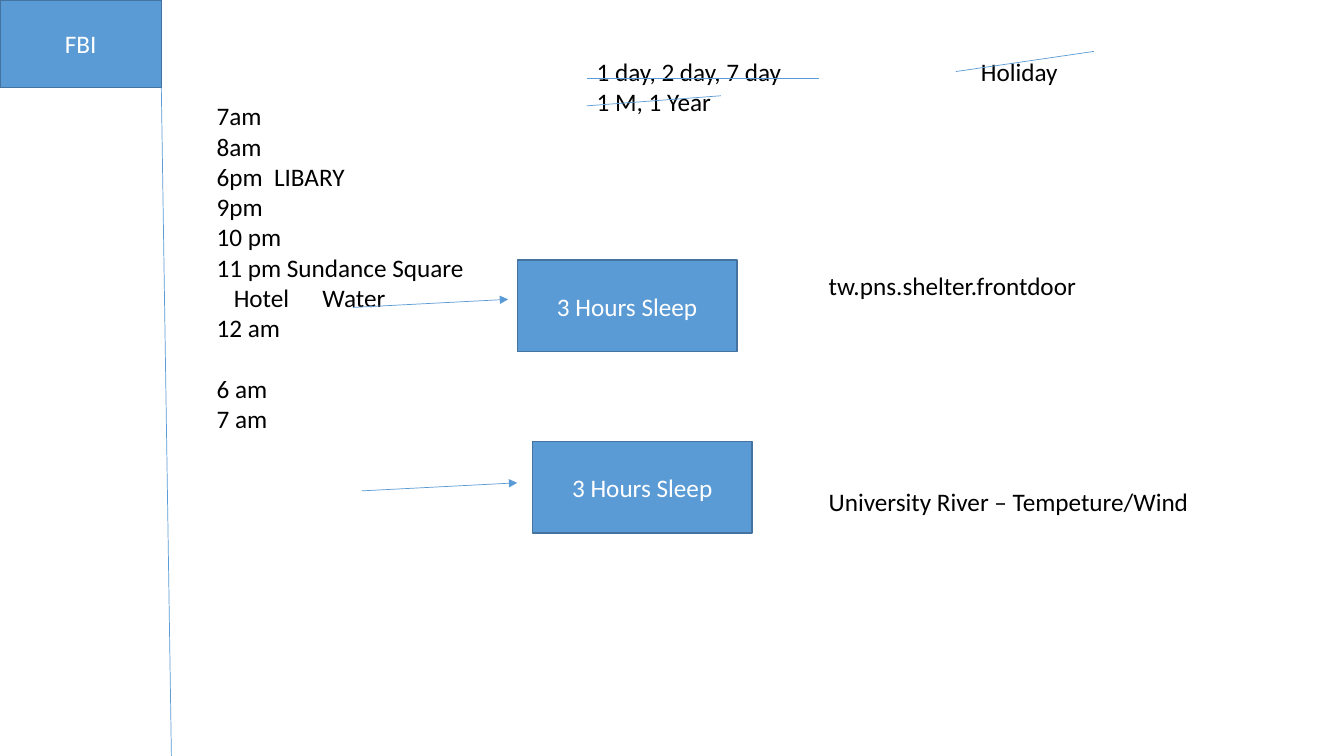
from dataclasses import dataclass

from lxml import etree
from pptx import Presentation
from pptx.dml.color import RGBColor
from pptx.enum.shapes import MSO_CONNECTOR, MSO_SHAPE
from pptx.enum.text import MSO_ANCHOR, PP_ALIGN
from pptx.oxml.ns import qn
from pptx.util import Inches, Pt

RECTANGLE = MSO_SHAPE.RECTANGLE
STRAIGHT = MSO_CONNECTOR.STRAIGHT
MIDDLE = MSO_ANCHOR.MIDDLE
CENTER = PP_ALIGN.CENTER


@dataclass(frozen=True)
class Theme:
    blue: RGBColor = RGBColor(0x5B, 0x9B, 0xD5)
    outline: RGBColor = RGBColor(0x43, 0x73, 0x9E)
    black: RGBColor = RGBColor(0, 0, 0)
    white: RGBColor = RGBColor(255, 255, 255)
    font: str = "Calibri"
    size: Pt = Pt(18)
    blank_line: Pt = Pt(22)


theme = Theme()


def set_font(paragraph, color):
    paragraph.font.name = theme.font
    paragraph.font.size = theme.size
    paragraph.font.color.rgb = color


def add_tab_stops(paragraph, stops):
    tab_list = etree.SubElement(paragraph._p.get_or_add_pPr(), qn("a:tabLst"))
    for stop in stops:
        etree.SubElement(tab_list, qn("a:tab"), pos=str(Inches(stop)), algn="l")


presentation = Presentation()
presentation.slide_width = Inches(13.33)
presentation.slide_height = Inches(7.5)
slide = presentation.slides.add_slide(presentation.slide_layouts[6])

# Blue boxes
boxes = [
    ("FBI", 0, 0, 1.6, 0.87),
    ("3 Hours Sleep", 5.13, 2.58, 2.18, 0.91),
    ("3 Hours Sleep", 5.28, 4.38, 2.18, 0.91),
]
for label, left, top, width, height in boxes:
    box = slide.shapes.add_shape(
        RECTANGLE, Inches(left), Inches(top), Inches(width), Inches(height))
    box.shadow.inherit = False
    box.fill.solid()
    box.fill.fore_color.rgb = theme.blue
    box.line.color.rgb = theme.outline
    box.line.width = Pt(1)
    box.text_frame.text = label
    box.text_frame.vertical_anchor = MIDDLE
    paragraph = box.text_frame.paragraphs[0]
    paragraph.alignment = CENTER
    set_font(paragraph, theme.white)

# Schedule and notes
schedule = [
    "7am", "8am", "6pm\tLIBARY", "9pm", "10 pm", "11 pm Sundance Square",
    "\tHotel\tWater", "12 am", "6 am", "7 am",
]
tab_stops = {"6pm\tLIBARY": [0.57], "\tHotel\tWater": [0.17, 1.05]}
after_gap = "6 am"
notes = [
    (schedule, 2.05, 0.95, 2.75, 3.43),
    (["University River – Tempeture/Wind"], 8.12, 4.78, 4.22, 0.4),
    (["tw.pns.shelter.frontdoor"], 8.12, 2.63, 4.22, 0.4),
    (["1 day, 2 day, 7 day", "1 M, 1 Year"], 5.82, 0.51, 2.1, 0.71),
    (["Holiday"], 9.63, 0.51, 1, 0.4),
]
for lines, left, top, width, height in notes:
    note = slide.shapes.add_textbox(
        Inches(left), Inches(top), Inches(width), Inches(height))
    note.text_frame.word_wrap = True
    note.text_frame.text = "\n".join(lines)
    for paragraph, line in zip(note.text_frame.paragraphs, lines):
        if line in tab_stops:
            add_tab_stops(paragraph, tab_stops[line])
        if line == after_gap:
            paragraph.space_before = theme.blank_line
        set_font(paragraph, theme.black)

# Divider, strike-through lines and arrows
connectors = [
    (1.7, 7.5, 1.6, 0.87, False),
    (5.82, 0.78, 8.12, 0.78, False),
    (5.82, 1.05, 7.15, 0.95, False),
    (9.48, 0.71, 10.85, 0.51, False),
    (3.59, 4.87, 5.13, 4.79, True),
    (3.5, 3.05, 5.04, 2.97, True),
]
for start_x, start_y, end_x, end_y, has_arrow in connectors:
    connector = slide.shapes.add_connector(
        STRAIGHT, Inches(start_x), Inches(start_y), Inches(end_x), Inches(end_y))
    connector.line.color.rgb = theme.blue
    connector.line.width = Pt(0.5)
    if has_arrow:
        etree.SubElement(
            connector.line._get_or_add_ln(), qn("a:tailEnd"), type="triangle")
    etree.SubElement(connector._element.spPr, qn("a:effectLst"))

presentation.save("out.pptx")
